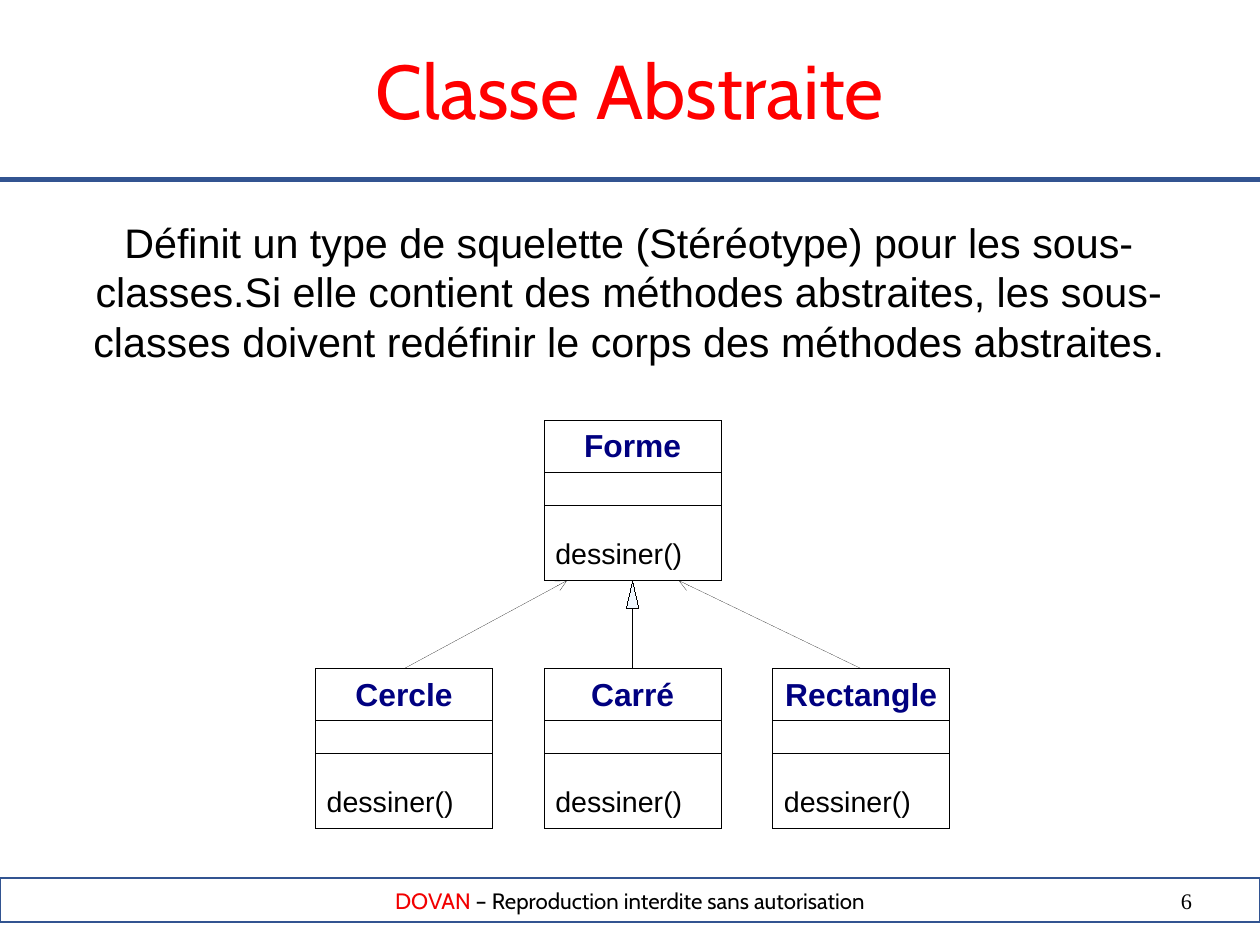
from pptx import Presentation
from pptx.dml.color import RGBColor
from pptx.enum.shapes import MSO_CONNECTOR, MSO_SHAPE
from pptx.enum.text import MSO_ANCHOR, MSO_AUTO_SIZE, PP_ALIGN
from pptx.oxml.ns import qn
from pptx.util import Inches, Pt
from lxml.etree import SubElement

BLACK = RGBColor(0x00, 0x00, 0x00)
RED = RGBColor(0xFF, 0x00, 0x00)
BRAND_RED = RGBColor(0xF2, 0x00, 0x00)
NAVY = RGBColor(0x00, 0x00, 0x80)
BLUE = RGBColor(0x32, 0x54, 0x91)
PALE_BLUE = RGBColor(0x99, 0xCC, 0xFF)

SLIDE_WIDTH, SLIDE_HEIGHT = 28 / 2.54, 21 / 2.54
CLASS_WIDTH, CLASS_HEIGHT = 1.55, 1.4
PARENT_LEFT, PARENT_TOP = 4.76, 3.68
CHILD_TOP, CHILD_STEP = 5.85, 2.0
DIVIDER_OFFSETS = (0.45, 0.74)
HAIRLINE = 0.01


class DiagramSlide:
    heading_font = "Cabin"
    body_font = "Arial"
    number_font = "Times New Roman"

    def __init__(self, presentation):
        self.slide = presentation.slides.add_slide(presentation.slide_layouts[5])
        self.shapes = self.slide.shapes

    def place(self, shape, left, top, width, height):
        shape.left, shape.top = Inches(left), Inches(top)
        shape.width, shape.height = Inches(width), Inches(height)

    def frame(self, shape, anchor=MSO_ANCHOR.TOP, inset_x=0.1, inset_y=0.05):
        frame = shape.text_frame
        frame.word_wrap = True
        frame.auto_size = MSO_AUTO_SIZE.NONE
        frame.vertical_anchor = anchor
        frame.margin_left = frame.margin_right = Inches(inset_x)
        frame.margin_top = frame.margin_bottom = Inches(inset_y)
        return frame

    def format(self, paragraph, font_name, size, color, align, bold=False):
        paragraph.alignment = align
        for run in paragraph.runs:
            run.font.name = font_name
            run.font.size = Pt(size)
            run.font.color.rgb = color
            run.font.bold = bold

    def title(self, text):
        shape = self.shapes.title
        self.place(shape, 0.59, 0.33, 9.84, 0.87)
        frame = self.frame(shape)
        frame.text = text
        self.format(frame.paragraphs[0], self.heading_font, 48, RED, PP_ALIGN.CENTER)

    def text(self, text, box, font_name, size, align, inset_x=0.1, inset_y=0.05):
        shape = self.shapes.add_textbox(*map(Inches, box))
        frame = self.frame(shape, inset_x=inset_x, inset_y=inset_y)
        frame.text = text
        self.format(frame.paragraphs[0], font_name, size, BLACK, align)

    def rectangle(self, left, top, width, height, color=BLACK, weight=HAIRLINE):
        shape = self.shapes.add_shape(
            MSO_SHAPE.RECTANGLE, *map(Inches, (left, top, width, height)))
        shape.shadow.inherit = False
        shape.fill.background()
        shape.line.color.rgb = color
        shape.line.width = Pt(weight)
        return shape

    def footer(self, brand, notice):
        bar = self.rectangle(0, 7.68, SLIDE_WIDTH, 0.39, BLUE, 1.42)
        frame = self.frame(bar, MSO_ANCHOR.MIDDLE, 0.01, 0.01)
        paragraph = frame.paragraphs[0]
        for part in (brand, notice):
            paragraph.add_run().text = part
        self.format(paragraph, self.heading_font, 14, BLACK, PP_ALIGN.CENTER)
        paragraph.runs[0].font.color.rgb = BRAND_RED

    def line(self, start, end, color=BLACK, weight=HAIRLINE, arrow=False):
        connector = self.shapes.add_connector(
            MSO_CONNECTOR.STRAIGHT, *map(Inches, (*start, *end)))
        connector.line.color.rgb = color
        connector.line.width = Pt(weight)
        if arrow:
            SubElement(connector.line._get_or_add_ln(), qn("a:tailEnd"), type="arrow")
        SubElement(connector._element.spPr, qn("a:effectLst"))
        return connector

    def uml_class(self, name, method, left, top):
        box = self.rectangle(left, top, CLASS_WIDTH, CLASS_HEIGHT)
        frame = self.frame(box)
        frame.text = name
        self.format(frame.paragraphs[0], self.body_font, 20, NAVY, PP_ALIGN.CENTER, True)
        paragraph = frame.add_paragraph()
        paragraph.text = method
        paragraph.space_before = Pt(45)
        self.format(paragraph, self.body_font, 18, BLACK, PP_ALIGN.LEFT)
        for offset in DIVIDER_OFFSETS:
            self.line((left, top + offset), (left + CLASS_WIDTH, top + offset))
        return box

    def inheritance(self, child, end, arrow=True):
        connector = self.line((end[0], CHILD_TOP), end, arrow=arrow)
        connector.begin_connect(child, 0)

    def triangle(self, center, top, width, height):
        builder = self.shapes.build_freeform(Inches(center), Inches(top))
        base = Inches(top + height)
        builder.add_line_segments([
            (Inches(center + width / 2), base),
            (Inches(center - width / 2), base),
        ])
        shape = builder.convert_to_shape()
        shape.shadow.inherit = False
        shape.fill.solid()
        shape.fill.fore_color.rgb = PALE_BLUE
        color = shape._element.spPr.find(qn("a:solidFill"))[0]
        SubElement(color, qn("a:alpha"), val="15000")
        shape.line.color.rgb = BLACK
        shape.line.width = Pt(HAIRLINE)


def main():
    presentation = Presentation()
    presentation.slide_width = Inches(SLIDE_WIDTH)
    presentation.slide_height = Inches(SLIDE_HEIGHT)
    diagram = DiagramSlide(presentation)

    diagram.footer("DOVAN", " – Reproduction interdite sans autorisation")
    diagram.line((0, 1.57), (SLIDE_WIDTH, 1.57), BLUE, 2.83)
    diagram.text("6", (7.9, 7.76, 2.53, 0.42), diagram.number_font, 14,
                 PP_ALIGN.RIGHT, 0, 0)
    diagram.title("Classe Abstraite")
    diagram.text(
        "Définit un type de squelette (Stéréotype) pour les sous-classes."
        "Si elle contient des méthodes abstraites, les sous-classes doivent "
        "redéfinir le corps des méthodes abstraites.",
        (0.59, 1.85, 9.84, 2.29), diagram.body_font, 26, PP_ALIGN.CENTER)

    method = "dessiner()"
    diagram.uml_class("Forme", method, PARENT_LEFT, PARENT_TOP)
    circle, square, rectangle = [
        diagram.uml_class(name, method, PARENT_LEFT + step * CHILD_STEP, CHILD_TOP)
        for step, name in zip((-1, 0, 1), ("Cercle", "Carré", "Rectangle"))
    ]

    parent_center = PARENT_LEFT + CLASS_WIDTH / 2
    parent_bottom = PARENT_TOP + CLASS_HEIGHT
    arrow_height = 0.24
    diagram.inheritance(circle, (4.96, parent_bottom))
    diagram.inheritance(square, (parent_center, parent_bottom + arrow_height), arrow=False)
    diagram.inheritance(rectangle, (5.94, parent_bottom))
    diagram.triangle(parent_center, parent_bottom, 0.11, arrow_height)

    presentation.save("out.pptx")


if __name__ == "__main__":
    main()
